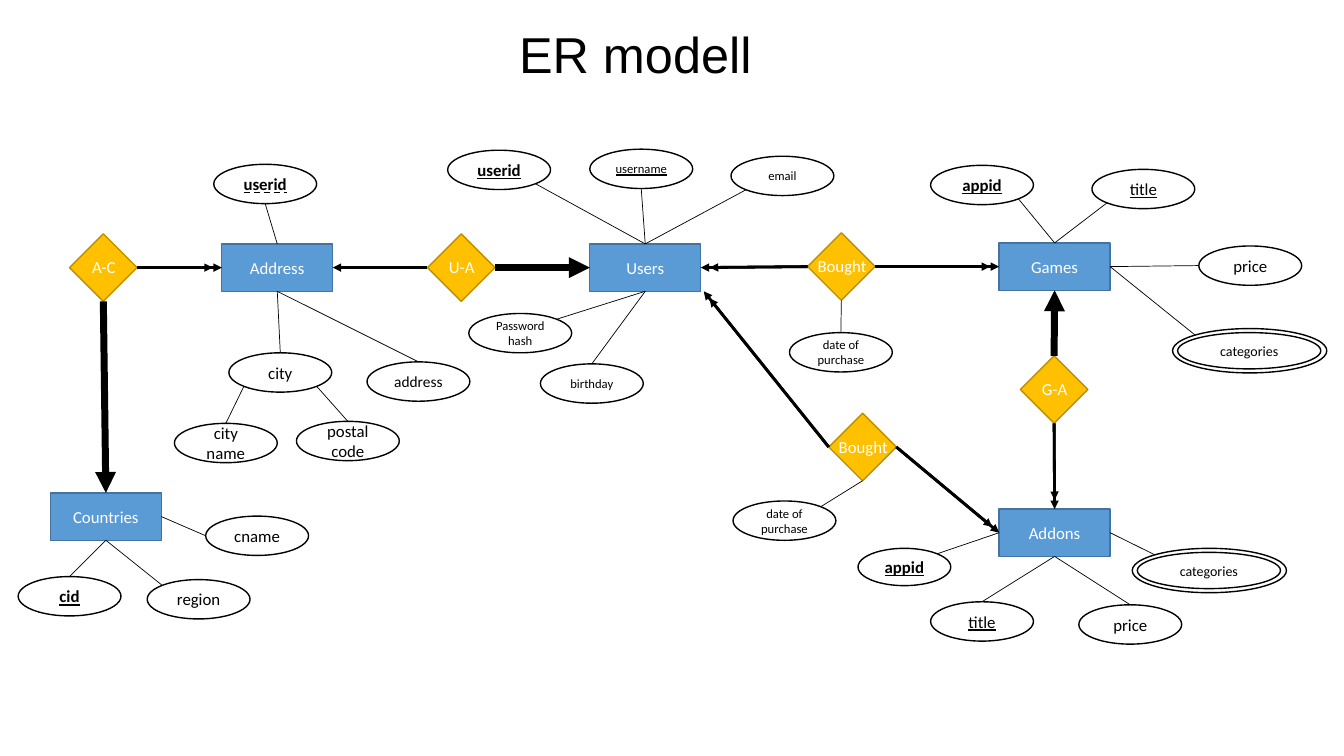
from collections import namedtuple
from math import hypot

from lxml import etree
from pptx import Presentation
from pptx.dml.color import RGBColor
from pptx.enum.shapes import MSO_CONNECTOR, MSO_SHAPE
from pptx.enum.text import MSO_ANCHOR, MSO_AUTO_SIZE, PP_ALIGN
from pptx.enum.text import MSO_TEXT_UNDERLINE_TYPE as UNDERLINE
from pptx.oxml.ns import qn
from pptx.util import Inches, Pt

COLORS = {
    "black": "000000", "white": "FFFFFF",
    "entity": "5B9BD5", "entity_line": "43739E",
    "relation": "FFC000", "relation_line": "BD8E00",
}
Box = namedtuple("Box", "left top width height")

# Anchor points as fractions of a box; the corners lie on an inscribed ellipse
SIDES = {
    "top": (0.5, 0), "bottom": (0.5, 1), "left": (0, 0.5), "right": (1, 0.5),
    "top_left": (0.146, 0.146), "top_right": (0.854, 0.146),
    "bottom_left": (0.146, 0.854), "bottom_right": (0.854, 0.854),
}
OVAL, SMALL_OVAL, DOUBLE_OVAL = (1.02, 0.39), (0.92, 0.37), (1.53, 0.44)
ENTITY, DIAMOND = (1.1, 0.47), (0.67, 0.67)
THIN, ARROW, THICK = 0.5, 2, 5
HEAD_GAP = 0.09
KEY = {"bold": True, "underline": True}
WEAK_KEY = {"bold": True, "underline": UNDERLINE.DASH_LINE}
UNIQUE = {"underline": True}


def color(name):
    return RGBColor.from_string(COLORS[name])


def anchor(box, side):
    across, down = SIDES[side]
    return box.left + across * box.width, box.top + down * box.height


def write(shape, text, size=12, font="Calibri", fill="black", bold=None,
          underline=None, align=PP_ALIGN.CENTER):
    paragraph = shape.text_frame.paragraphs[0]
    paragraph.alignment = align
    run = paragraph.add_run()
    run.text = text
    run.font.size, run.font.name = Pt(size), font
    run.font.bold, run.font.underline = bold, underline
    run.font.color.rgb = color(fill)


def add_figure(shapes, kind, box, fill="white", line="black"):
    shape = shapes.add_shape(kind, *map(Inches, box))
    shape.shadow.inherit = False
    shape.fill.solid()
    shape.fill.fore_color.rgb = color(fill)
    shape.line.color.rgb = color(line)
    shape.line.width = Pt(1)
    shape.text_frame.word_wrap = True
    shape.text_frame.vertical_anchor = MSO_ANCHOR.MIDDLE
    return shape


def add_label(slide, box, text, **style):
    label = slide.shapes.add_textbox(*map(Inches, box))
    label.text_frame.word_wrap = False
    label.text_frame.auto_size = MSO_AUTO_SIZE.SHAPE_TO_FIT_TEXT
    write(label, text, align=PP_ALIGN.LEFT, **style)


def add_line(slide, start, end, width=THIN, head=False):
    connector = slide.shapes.add_connector(
        MSO_CONNECTOR.STRAIGHT, *map(Inches, (*start, *end)))
    connector.line.color.rgb = color("black")
    connector.line.width = Pt(width)
    if head:
        line = connector.line._get_or_add_ln()
        etree.SubElement(line, qn("a:tailEnd"), type="triangle")
    etree.SubElement(connector._element.spPr, qn("a:effectLst"))


def add_arrow(slide, start, end, width=ARROW, double=False):
    add_line(slide, start, end, width, head=True)
    if double:
        dx, dy = end[0] - start[0], end[1] - start[1]
        part = 1 - HEAD_GAP / hypot(dx, dy)
        inner = start[0] + part * dx, start[1] + part * dy
        add_line(slide, start, inner, width, head=True)


def add_attribute(slide, owner, text, dx, dy, owner_side, side,
                  oval=OVAL, **style):
    """Oval placed relative to its owner's corner and tied to it by a line."""
    box = Box(owner.left + dx, owner.top + dy, *oval)
    shapes = slide.shapes
    shape_box = box
    if oval == DOUBLE_OVAL:
        shapes = slide.shapes.add_group_shape().shapes
        add_figure(shapes, MSO_SHAPE.OVAL, box)
        shape_box = Box(box.left + 0.05, box.top + 0.04, 1.42, 0.36)
    write(add_figure(shapes, MSO_SHAPE.OVAL, shape_box), text, **style)
    add_line(slide, anchor(owner, owner_side), anchor(box, side))
    return box


def add_entity(slide, box, name, attributes):
    shape = add_figure(slide.shapes, MSO_SHAPE.RECTANGLE, box,
                       "entity", "entity_line")
    write(shape, name, fill="white")
    return [add_attribute(slide, box, *place, **style)
            for *place, style in attributes]


def add_relation(slide, box, name, label_width=0.46, date=None):
    add_figure(slide.shapes, MSO_SHAPE.DIAMOND, box,
               "relation", "relation_line")
    label_left = box.left + (box.width - label_width) / 2 + 0.01
    add_label(slide, Box(label_left, box.top + 0.18, label_width, 0.3),
              name, fill="white")
    if date:
        add_attribute(slide, box, "date of purchase", *date, size=9)


presentation = Presentation()
presentation.slide_width, presentation.slide_height = Inches(13.33), Inches(7.5)
slide = presentation.slides.add_slide(presentation.slide_layouts[6])

# Title
add_label(slide, Box(5.05, 0.18, 2.53, 0.71), "ER modell", size=36, font="Arial")

# Entities with their attributes
address = Box(2.2, 2.42, *ENTITY)
users = Box(5.85, 2.42, *ENTITY)
games = Box(9.91, 2.41, *ENTITY)
addons = Box(9.91, 5.05, *ENTITY)
countries = Box(0.5, 4.89, *ENTITY)

add_entity(slide, users, "Users", [
    ("userid", -1.41, -0.93, "top", "bottom_right", KEY),
    ("username", 0, -0.94, "top", "bottom", {"size": 9, **UNIQUE}),
    ("email", 1.4, -0.87, "top", "bottom_left", {"size": 9}),
    ("Password hash", -1.2, 0.69, "bottom", "top_right", {"size": 9}),
    ("birthday", -0.49, 1.19, "bottom", "top", {"size": 9}),
])
add_entity(slide, games, "Games", [
    ("appid", -0.68, -0.77, "top", "bottom_right", KEY),
    ("title", 0.92, -0.73, "top", "bottom_left", UNIQUE),
    ("price", 1.98, 0.03, "right", "left", {}),
    ("categories", 1.72, 0.85, "right", "top_left",
     {"size": 10, "oval": DOUBLE_OVAL}),
])
add_entity(slide, addons, "Addons", [
    ("appid", -1.4, 0.39, "left", "top_right", {"oval": SMALL_OVAL, **KEY}),
    ("title", -0.68, 0.92, "bottom", "top", UNIQUE),
    ("price", 0.79, 0.95, "bottom", "top", {}),
    ("categories", 1.32, 0.39, "right", "top_left",
     {"size": 10, "oval": DOUBLE_OVAL}),
])
add_entity(slide, countries, "Countries", [
    ("cid", -0.32, 0.83, "bottom", "top", KEY),
    ("cname", 1.54, 0.23, "right", "left", {}),
    ("region", 0.96, 0.86, "bottom", "top_left", {}),
])
city, *_ = add_entity(slide, address, "Address", [
    ("city", 0.07, 1.08, "bottom", "top", {}),
    ("userid", -0.08, -0.79, "top", "bottom", WEAK_KEY),
    ("address", 1.44, 1.17, "bottom", "top", {"size": 11}),
])
add_attribute(slide, city, "city name", -0.54, 0.7, "bottom_left", "top")
add_attribute(slide, city, "postal code", 0.67, 0.68, "bottom_right", "top")

# Relations
address_country = Box(0.69, 2.32, *DIAMOND)
user_address = Box(4.24, 2.32, *DIAMOND)
game_addon = Box(10.12, 3.53, *DIAMOND)
bought_game = Box(8.01, 2.31, *DIAMOND)
bought_addon = Box(8.22, 4.1, *DIAMOND)
add_relation(slide, address_country, "A-C", 0.44)
add_relation(slide, user_address, "U-A")
add_relation(slide, game_addon, "G-A")
add_relation(slide, bought_game, "Bought", 0.69,
             (-0.18, 0.99, "bottom", "top"))
add_relation(slide, bought_addon, "Bought", 0.69,
             (-0.95, 0.87, "bottom", "top_right"))

# Arrows from relations to entities
for relation, start, entity, end, width, double in [
    (address_country, "right", address, "left", ARROW, True),
    (address_country, "bottom", countries, "top", THICK, False),
    (user_address, "left", address, "right", ARROW, False),
    (user_address, "right", users, "left", THICK, False),
    (bought_game, "left", users, "right", ARROW, True),
    (bought_game, "right", games, "left", ARROW, True),
    (game_addon, "top", games, "bottom", THICK, False),
    (game_addon, "bottom", addons, "top", ARROW, True),
    (bought_addon, "right", addons, "left", ARROW, True),
]:
    add_arrow(slide, anchor(relation, start), anchor(entity, end), width, double)
users_corner = users.left + users.width + 0.03, users.top + users.height
add_arrow(slide, anchor(bought_addon, "left"), users_corner, double=True)

presentation.save("out.pptx")
